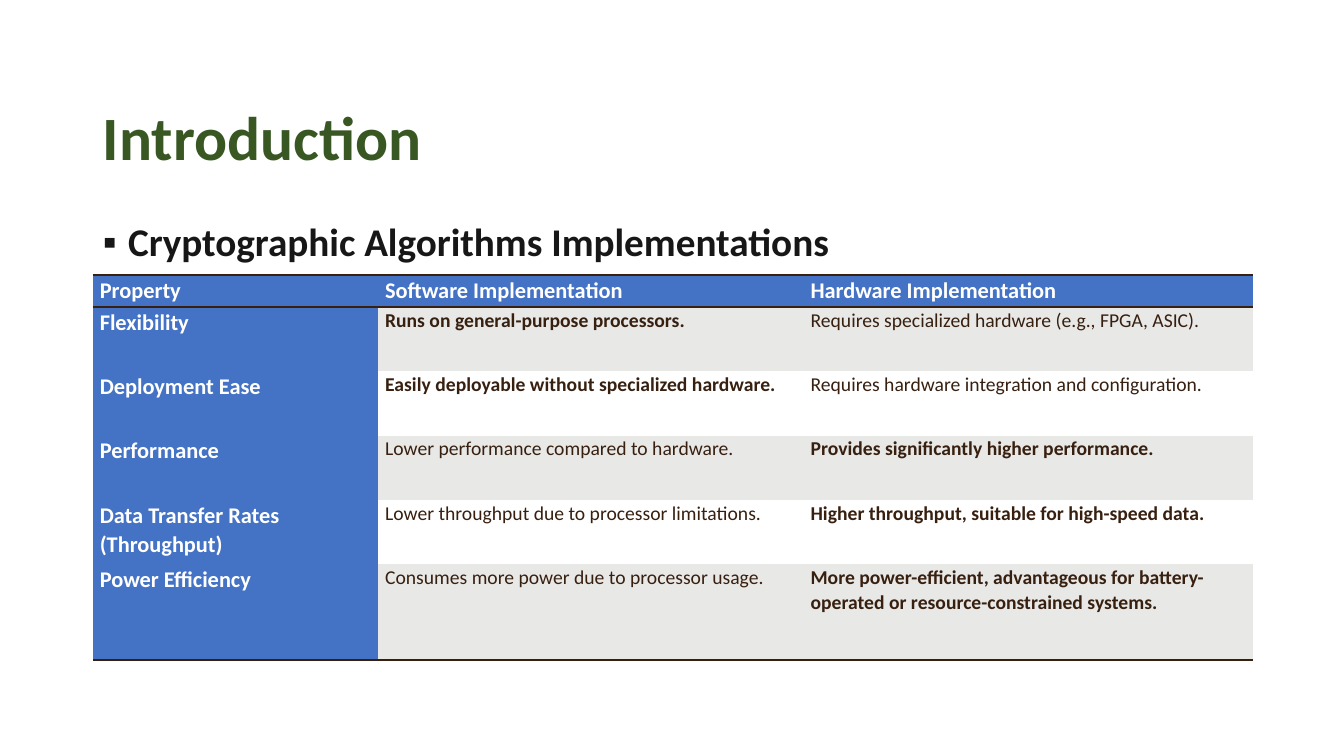
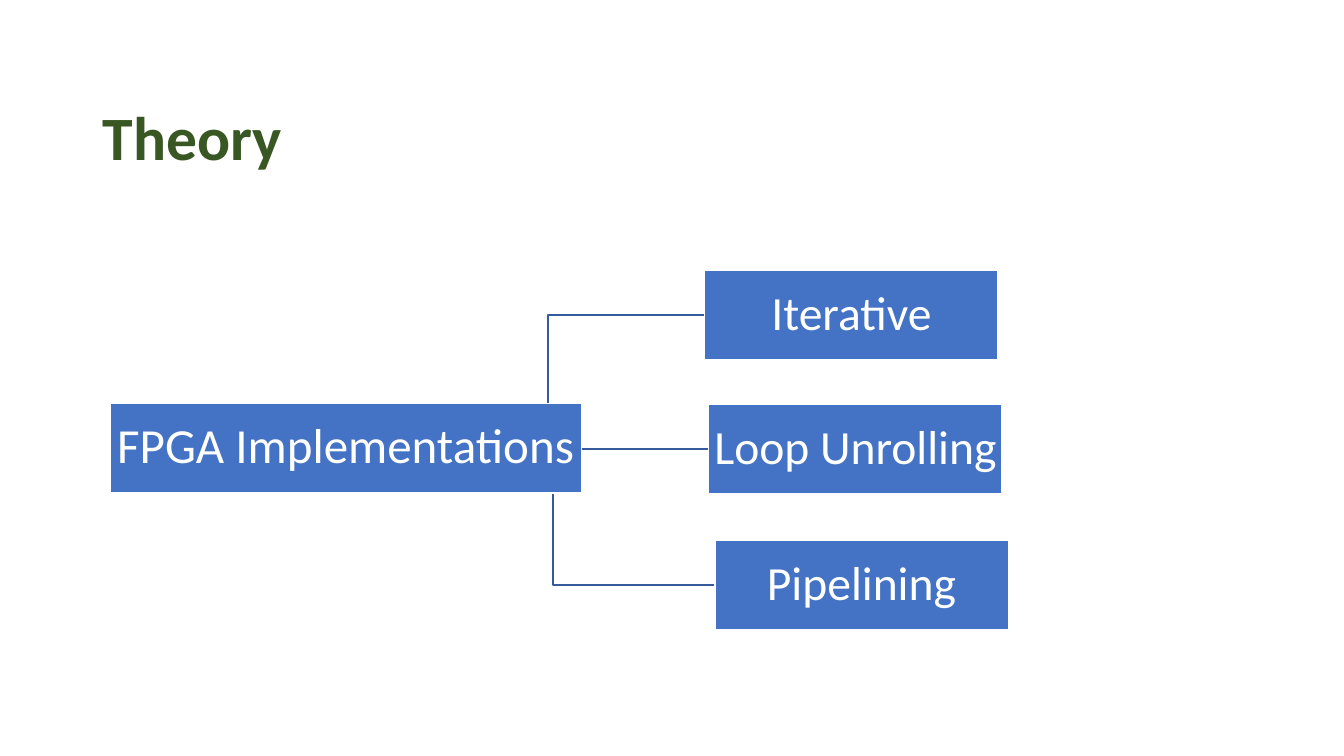
from lxml import etree
from pptx import Presentation
from pptx.dml.color import RGBColor
from pptx.enum.shapes import MSO_CONNECTOR, MSO_SHAPE
from pptx.enum.text import MSO_ANCHOR, MSO_AUTO_SIZE, PP_ALIGN
from pptx.oxml.ns import qn
from pptx.util import Inches, Pt

FONT = "Calibri"
GREEN, INK, BROWN = "385723", "181717", "382010"
BLUE, LINE_BLUE, GREY, WHITE = "4472C4", "365B9D", "E8E8E7", "FFFFFF"
TITLE_LAYOUT, BODY_LAYOUT = 5, 1
PLAIN_TABLE_STYLE = "{2D5ABB26-0587-4C30-8999-92F81FD0307C}"
LEFT, WIDTH = 0.92, 11.5


def rgb(color):
    return RGBColor.from_string(color)


def place(shape, left, top, width, height):
    shape.left, shape.top = Inches(left), Inches(top)
    shape.width, shape.height = Inches(width), Inches(height)


def set_margins(target, side, vertical):
    target.margin_left = target.margin_right = Inches(side)
    target.margin_top = target.margin_bottom = Inches(vertical)


class Deck:
    """Holds the presentation, its shared style and the current slide."""

    def __init__(self):
        self.presentation = Presentation()
        self.presentation.slide_width = Inches(13.33)
        self.presentation.slide_height = Inches(7.5)
        self.slide = None

    def add_text(self, paragraph, text, size, color, bold=False, spacing=0.9):
        paragraph.line_spacing = spacing
        run = paragraph.add_run()
        run.text = text
        run.font.name, run.font.size, run.font.bold = FONT, Pt(size), bold
        run.font.color.rgb = rgb(color)

    def new_slide(self, title, layout):
        layouts = self.presentation.slide_layouts
        self.slide = self.presentation.slides.add_slide(layouts[layout])
        heading = self.slide.shapes.title
        place(heading, LEFT, 0.67, WIDTH, 1.45)
        frame = heading.text_frame
        frame.auto_size = MSO_AUTO_SIZE.NONE
        frame.vertical_anchor = MSO_ANCHOR.MIDDLE
        frame.paragraphs[0].alignment = PP_ALIGN.LEFT
        self.add_text(frame.paragraphs[0], title, 44, GREEN, bold=True)

    def bullet(self, text):
        body = self.slide.placeholders[1]
        place(body, LEFT, 2.16, WIDTH, 4.68)
        body.text_frame.auto_size = MSO_AUTO_SIZE.NONE
        paragraph = body.text_frame.paragraphs[0]
        properties = paragraph._p.get_or_add_pPr()
        properties.set("marL", str(Inches(0.25)))
        properties.set("indent", str(-Inches(0.25)))
        etree.SubElement(properties, qn("a:buChar")).set("char", "▪")
        self.add_text(paragraph, text, 28, INK, bold=True)

    def rule(self, cell, side):
        """Draw a dark rule on one side (T or B) of a cell; call before its fill."""
        line = etree.SubElement(cell._tc.get_or_add_tcPr(), qn(f"a:ln{side}"))
        line.set("w", str(Pt(2)))
        fill = etree.SubElement(line, qn("a:solidFill"))
        etree.SubElement(fill, qn("a:srgbClr")).set("val", BROWN)

    def table(self, rows, top, column_widths, row_heights):
        """Add a table whose rows hold (text, bold) pairs."""
        table = self.slide.shapes.add_table(
            len(rows), len(column_widths), Inches(LEFT), Inches(top),
            Inches(WIDTH), Inches(sum(row_heights))).table
        table._tbl.tblPr.find(qn("a:tableStyleId")).text = PLAIN_TABLE_STYLE
        for column, width in zip(table.columns, column_widths):
            column.width = Inches(width)
        for r, (row, height) in enumerate(zip(rows, row_heights)):
            table.rows[r].height = Inches(height)
            for c, (text, bold) in enumerate(row):
                cell = table.cell(r, c)
                set_margins(cell, 0.07, 0)
                if r == 0:
                    self.rule(cell, "T")
                if r in (0, len(rows) - 1):
                    self.rule(cell, "B")
                is_label = r == 0 or c == 0
                cell.fill.solid()
                cell.fill.fore_color.rgb = rgb(
                    BLUE if is_label else GREY if r % 2 else WHITE)
                size, color = (16, WHITE) if is_label else (14, BROWN)
                self.add_text(cell.text_frame.paragraphs[0], text, size, color,
                              bold, spacing=1.07)

    def link(self, kind, start, end):
        connector = self.slide.shapes.add_connector(
            kind, *(Inches(value) for value in (*start, *end)))
        connector.line.color.rgb = rgb(LINE_BLUE)
        connector.line.width = Pt(1)
        etree.SubElement(connector._element.spPr, qn("a:effectLst"))

    def node(self, text, left, top, width, height, size):
        box = self.slide.shapes.add_shape(
            MSO_SHAPE.RECTANGLE, Inches(left), Inches(top), Inches(width), Inches(height))
        box.shadow.inherit = False
        box.fill.solid()
        box.fill.fore_color.rgb = rgb(BLUE)
        box.line.color.rgb = rgb(WHITE)
        box.line.width = Pt(1)
        frame = box.text_frame
        frame.word_wrap = True
        frame.vertical_anchor = MSO_ANCHOR.MIDDLE
        set_margins(frame, 0.02, 0.02)
        frame.paragraphs[0].alignment = PP_ALIGN.CENTER
        self.add_text(frame.paragraphs[0], text, size, WHITE)


def introduction(deck):
    deck.new_slide("Introduction", BODY_LAYOUT)
    deck.bullet("Cryptographic Algorithms Implementations")
    header = ("Property", "Software Implementation", "Hardware Implementation")
    # Each property: software text, hardware text, and whether software is better.
    comparison = [
        ("Flexibility", "Runs on general-purpose processors.",
         "Requires specialized hardware (e.g., FPGA, ASIC).", True),
        ("Deployment Ease", "Easily deployable without specialized hardware.",
         "Requires hardware integration and configuration.", True),
        ("Performance", "Lower performance compared to hardware.",
         "Provides significantly higher performance.", False),
        ("Data Transfer Rates (Throughput)",
         "Lower throughput due to processor limitations.",
         "Higher throughput, suitable for high-speed data.", False),
        ("Power Efficiency", "Consumes more power due to processor usage.",
         "More power-efficient, advantageous for battery-operated or "
         "resource-constrained systems.", False),
    ]
    rows = [[(text, True) for text in header]]
    for label, software, hardware, software_wins in comparison:
        rows.append([(label, True), (software, software_wins),
                     (hardware, not software_wins)])
    line_height = 3.82 / 12
    deck.table(rows, 2.73, (2.83, 4.22, 4.46),
               [lines * line_height for lines in (1, 2, 2, 2, 2, 3)])


def theory(deck):
    deck.new_slide("Theory", TITLE_LAYOUT)
    node_height, branch_width = 0.89, 2.91
    root_top, trunk_x = 4, 3.88
    root_y = root_top + node_height / 2
    branches = [("Iterative", 6.99, 2.68), ("Loop Unrolling", 7.03, 4.01),
                ("Pipelining", 7.09, 5.36)]
    for _, left, top in branches:
        branch_y = top + node_height / 2
        if abs(branch_y - root_y) < 0.05:
            deck.link(MSO_CONNECTOR.STRAIGHT, (trunk_x, branch_y), (left, branch_y))
        else:
            deck.link(MSO_CONNECTOR.ELBOW, (trunk_x, root_y), (left, branch_y))
    deck.node("FPGA Implementations", 1.09, root_top, 4.68, node_height, 35)
    for name, left, top in branches:
        deck.node(name, left, top, branch_width, node_height, 34)


def main():
    deck = Deck()
    introduction(deck)
    theory(deck)
    deck.presentation.save("out.pptx")


if __name__ == "__main__":
    main()
